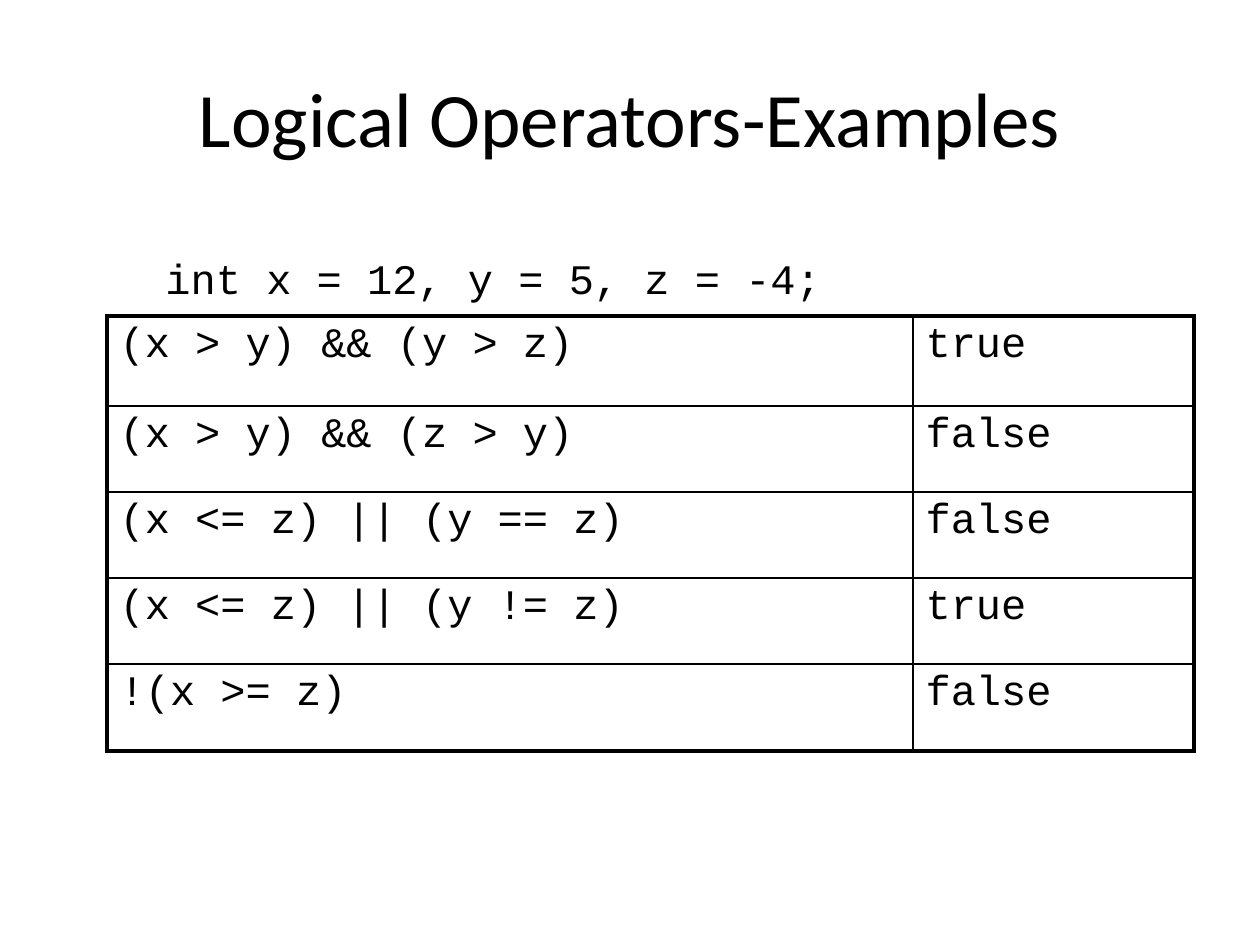
from typing import NamedTuple

from lxml.etree import SubElement
from pptx import Presentation
from pptx.dml.color import RGBColor
from pptx.enum.text import MSO_ANCHOR as Anchor, PP_ALIGN as Align
from pptx.oxml import parse_xml
from pptx.oxml.ns import nsdecls, qn
from pptx.util import Emu, Pt

PX_PER_INCH = 126
BLACK = RGBColor(0x00, 0x00, 0x00)
CODE_FONT = "Courier New"
OUTER_PT, INNER_PT = 2.25, 1


class Box(NamedTuple):
    left: int
    top: int
    width: int
    height: int


class Example(NamedTuple):
    expression: str
    result: str
    height: int


TITLE_BOX = Box(63, 38, 1134, 157)
DECLARATION_BOX = Box(105, 256, 1037, 103)
TABLE_LEFT, TABLE_TOP = 107, 316
COLUMN_WIDTHS = (806, 281)
EXAMPLES = (
    Example("(x > y) && (y > z)", "true", 90),
    Example("(x > y) && (z > y)", "false", 86),
    Example("(x <= z) || (y == z)", "false", 86),
    Example("(x <= z) || (y != z)", "true", 86),
    Example("!(x >= z)", "false", 87),
)


def px(length: int) -> Emu:
    return Emu(round(length * 914400 / PX_PER_INCH))


def place(box: Box) -> list[Emu]:
    return [px(length) for length in box]


def add_run(paragraph, text: str, size: int, font: str = CODE_FONT) -> None:
    run = paragraph.add_run()
    run.text = text
    run.font.size = Pt(size)
    run.font.name = font
    run.font.color.rgb = BLACK


def set_borders(cell, left: float, right: float, top: float, bottom: float) -> None:
    """Put black border lines ahead of the cell's fill."""
    properties = cell._tc.get_or_add_tcPr()
    widths = {"lnL": left, "lnR": right, "lnT": top, "lnB": bottom}
    for position, (tag, width) in enumerate(widths.items()):
        line = parse_xml(f'<a:{tag} {nsdecls("a")} w="{Pt(width)}"/>')
        fill = SubElement(line, qn("a:solidFill"))
        SubElement(fill, qn("a:srgbClr"), val=str(BLACK))
        properties.insert(position, line)


def add_title(slide) -> None:
    title = slide.shapes.title
    title.left, title.top, title.width, title.height = place(TITLE_BOX)
    title.text_frame.vertical_anchor = Anchor.MIDDLE
    heading = title.text_frame.paragraphs[0]
    heading.alignment = Align.CENTER
    add_run(heading, "Logical Operators-Examples", 44, "Calibri")


def add_declaration(slide) -> None:
    frame = slide.shapes.add_textbox(*place(DECLARATION_BOX)).text_frame
    frame.word_wrap = True
    declaration = frame.paragraphs[0]
    declaration.line_spacing = 0.8
    declaration.space_before = Pt(5)
    declaration._p.get_or_add_pPr().set("marL", str(px(48)))
    add_run(declaration, "int x = 12, y = 5, z = -4;", 24)


def add_examples(slide, examples: tuple[Example, ...]) -> None:
    box = Box(TABLE_LEFT, TABLE_TOP, sum(COLUMN_WIDTHS),
              sum(example.height for example in examples))
    table = slide.shapes.add_table(
        len(examples), len(COLUMN_WIDTHS), *place(box)).table
    table.first_row = table.horz_banding = False
    for column, width in zip(table.columns, COLUMN_WIDTHS):
        column.width = px(width)

    last_row, last_column = len(examples) - 1, len(COLUMN_WIDTHS) - 1
    for r, example in enumerate(examples):
        table.rows[r].height = px(example.height)
        for c, text in enumerate((example.expression, example.result)):
            cell = table.cell(r, c)
            cell.fill.background()
            add_run(cell.text_frame.paragraphs[0], text, 24)
            # Thick lines run only around the outside
            edges = (c == 0, c == last_column, r == 0, r == last_row)
            set_borders(cell, *(OUTER_PT if edge else INNER_PT for edge in edges))


def main() -> None:
    prs = Presentation()
    prs.slide_width, prs.slide_height = px(1260), px(945)
    slide = prs.slides.add_slide(prs.slide_layouts[5])  # title only

    add_title(slide)
    add_declaration(slide)
    add_examples(slide, EXAMPLES)
    prs.save("out.pptx")


if __name__ == "__main__":
    main()
